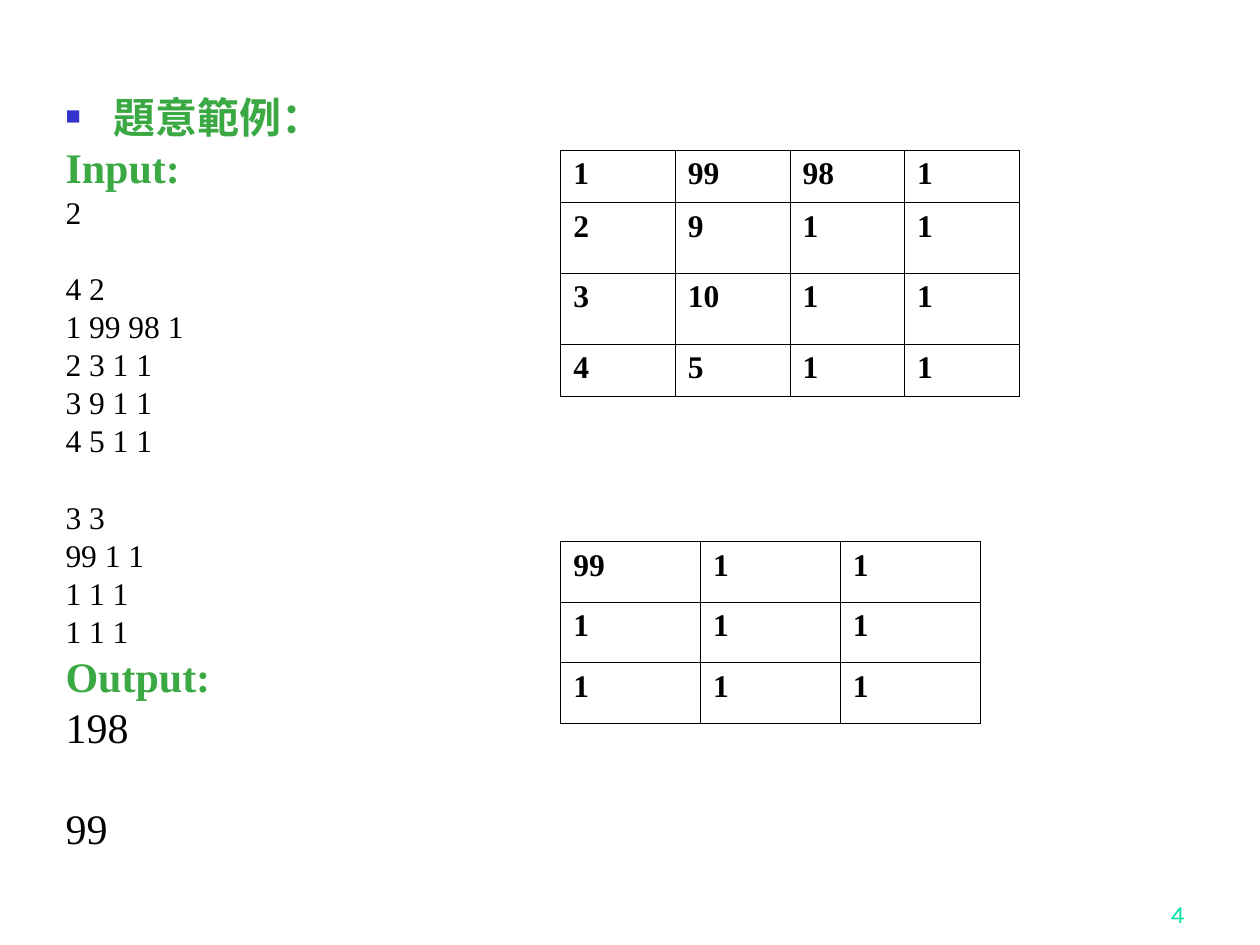
from lxml.etree import SubElement
from pptx import Presentation
from pptx.dml.color import RGBColor
from pptx.enum.text import MSO_ANCHOR, MSO_AUTO_SIZE, PP_ALIGN
from pptx.oxml.ns import qn
from pptx.util import Inches, Pt

COLORS = {
    "heading": "3BA943",
    "text": "000000",
    "bullet": "3333CC",
    "number": "00E4A8",
    "cell": "FFFFFF",
}
SERIF = "Times New Roman"
HEADING = dict(size=24, color="heading", bold=True, before=6)
SAMPLE = dict(size=18, before=4.5)
NEW_CASE = dict(size=18, before=26.25)  # one empty line above
RESULT = dict(size=24, before=6)
NEW_RESULT = dict(size=24, before=35)  # one empty line above

EXAMPLE_LINES = [
    ("題意範例：", HEADING | dict(before=0, bullet="■")),
    ("Input:", HEADING),
    ("2", SAMPLE),
    ("4 2", NEW_CASE),
    ("1 99 98 1", SAMPLE),
    ("2 3 1 1", SAMPLE),
    ("3 9 1 1", SAMPLE),
    ("4 5 1 1", SAMPLE),
    ("3 3", NEW_CASE),
    ("99 1 1", SAMPLE),
    ("1 1 1", SAMPLE),
    ("1 1 1", SAMPLE),
    ("Output:", HEADING),
    ("198", RESULT),
    ("99", NEW_RESULT),
]
FIRST_MATRIX = [[1, 99, 98, 1], [2, 9, 1, 1], [3, 10, 1, 1], [4, 5, 1, 1]]
SECOND_MATRIX = [[99, 1, 1], [1, 1, 1], [1, 1, 1]]


def rgb(name):
    return RGBColor.from_string(COLORS[name])


def set_bullet(paragraph, char):
    """Give the paragraph a hanging indent and a bullet, or no bullet."""
    props = paragraph._p.get_or_add_pPr()
    props.set("marL", str(Inches(0.38)))
    props.set("indent", str(-Inches(0.38)))
    if char:
        color = SubElement(props, qn("a:buClr"))
        SubElement(color, qn("a:srgbClr"), val=COLORS["bullet"])
        SubElement(props, qn("a:buSzPct"), val="60000")
        SubElement(props, qn("a:buChar"), char=char)
    else:
        SubElement(props, qn("a:buNone"))


def write_text(paragraph, text, size=18, color="text", bold=False,
               font=SERIF, align=None, before=0, spacing=None):
    run = paragraph.add_run()
    run.text = text
    run.font.name = font
    run.font.size = Pt(size)
    run.font.bold = bold
    run.font.color.rgb = rgb(color)
    paragraph.alignment = align
    paragraph.space_before = Pt(before)
    paragraph.line_spacing = spacing


def add_example(slide):
    body = slide.placeholders[1]
    body.left, body.top = Inches(0.42), Inches(0.75)
    body.width, body.height = Inches(8.83), Inches(6.15)
    frame = body.text_frame
    frame.auto_size = MSO_AUTO_SIZE.NONE
    for index, (text, style) in enumerate(EXAMPLE_LINES):
        paragraph = frame.add_paragraph() if index else frame.paragraphs[0]
        style = dict(style)
        set_bullet(paragraph, style.pop("bullet", None))
        write_text(paragraph, text, spacing=0.8, **style)


def set_borders(cell):
    props = cell._tc.get_or_add_tcPr()
    for position, side in enumerate(("a:lnL", "a:lnR", "a:lnT", "a:lnB")):
        line = SubElement(props, qn(side), w=str(Pt(0.45)))
        fill = SubElement(line, qn("a:solidFill"))
        SubElement(fill, qn("a:srgbClr"), val=COLORS["text"])
        props.insert(position, line)  # borders come before the fill


def add_matrix(slide, values, top, column_width, row_heights):
    columns = len(values[0])
    table = slide.shapes.add_table(
        len(values), columns, Inches(4.45), Inches(top),
        Inches(column_width * columns), Inches(sum(row_heights))).table
    table.first_row = table.horz_banding = False
    for column in table.columns:
        column.width = Inches(column_width)
    for row, height, numbers in zip(table.rows, row_heights, values):
        row.height = Inches(height)
        for cell, number in zip(row.cells, numbers):
            cell.fill.solid()
            cell.fill.fore_color.rgb = rgb("cell")
            set_borders(cell)
            write_text(cell.text_frame.paragraphs[0], str(number), bold=True)


def add_page_number(slide, number):
    box = slide.shapes.add_textbox(
        Inches(7.42), Inches(6.92), Inches(2.08), Inches(0.5))
    frame = box.text_frame
    frame.word_wrap = True
    frame.vertical_anchor = MSO_ANCHOR.BOTTOM
    write_text(frame.paragraphs[0], number, size=14, color="number",
               font="Karla", align=PP_ALIGN.RIGHT)


def main():
    deck = Presentation()
    deck.slide_width, deck.slide_height = Inches(10), Inches(7.5)
    slide = deck.slides.add_slide(deck.slide_layouts[1])

    # The slide has no title
    title = slide.shapes.title._element
    title.getparent().remove(title)

    # Sample input and output
    add_page_number(slide, "4")
    add_example(slide)

    # The two matrices beside their input
    add_matrix(slide, FIRST_MATRIX, 1.19, 0.91, [0.42, 0.56, 0.56, 0.42])
    add_matrix(slide, SECOND_MATRIX, 4.3, 1.11, [0.48] * 3)

    deck.save("out.pptx")


if __name__ == "__main__":
    main()
